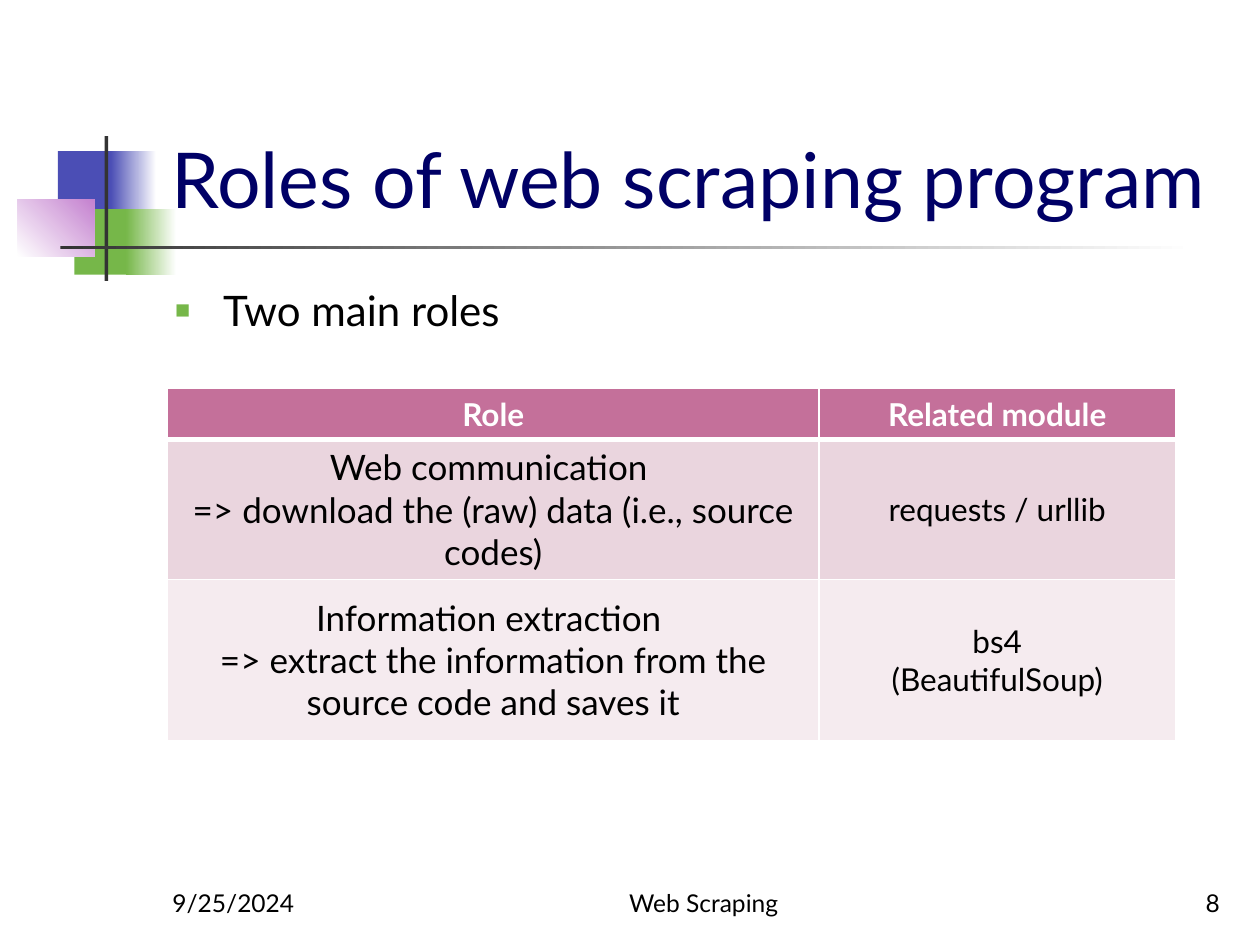
from lxml.etree import SubElement
from pptx import Presentation
from pptx.dml.color import RGBColor
from pptx.enum.shapes import MSO_SHAPE
from pptx.enum.text import MSO_ANCHOR, MSO_AUTO_SIZE, PP_ALIGN
from pptx.oxml.ns import qn
from pptx.util import Inches, Pt

FONT = "Lato"
WHITE = RGBColor(0xFF, 0xFF, 0xFF)
BLACK = RGBColor(0, 0, 0)
NAVY = RGBColor(0, 0, 0x66)
BLUE = RGBColor(0x4B, 0x4E, 0xB5)
GREEN = RGBColor(0x76, 0xB7, 0x49)
LILAC = RGBColor(0xC4, 0x81, 0xCF)
DARK = RGBColor(0x33, 0x33, 0x33)
HEADER_PINK = RGBColor(0xC4, 0x70, 0x9A)
ROW_PINKS = [RGBColor(0xEA, 0xD5, 0xDE), RGBColor(0xF5, 0xEB, 0xEF)]

# left, top, width, height, colours from start to end, gradient angle
ORNAMENT = [
    (0.46, 1.2, 0.48, 0.52, [BLUE], 0),
    (0.88, 1.2, 0.36, 0.52, [BLUE, WHITE], 0),
    (0.59, 1.66, 0.46, 0.52, [GREEN], 0),
    (1, 1.66, 0.4, 0.52, [GREEN, WHITE], 0),
    (0.14, 1.58, 0.61, 0.46, [WHITE, LILAC], 45),
    (0.83, 1.08, 0.03, 1.15, [DARK], 0),
    (0.48, 1.95, 9, 0.03, [DARK, WHITE], 0),
]
COL_WIDTHS = [5.17, 2.83]
ROW_HEIGHTS = [0.41, 1.11, 1.28]
ROLES = [
    ("Role", "Related module"),
    ("Web communication \v=> download the (raw) data (i.e., source codes)",
     "requests / urllib"),
    ("Information extraction \v=> extract the information from the "
     "source code and saves it", "bs4\n(BeautifulSoup)"),
]
FOOTER_TOP, FOOTER_HEIGHT = 6.83, 0.5
FOOTERS = [
    (1.27, 2.08, "9/25/2024", PP_ALIGN.LEFT),
    (4, 3.17, "Web Scraping", PP_ALIGN.CENTER),
    (7.7, 2.08, "8", PP_ALIGN.RIGHT),
]


def place(shape, left, top, width, height):
    shape.left, shape.top = Inches(left), Inches(top)
    shape.width, shape.height = Inches(width), Inches(height)


def write(tf, text, size, color, align=PP_ALIGN.LEFT, bold=False):
    tf.text = text
    for p in tf.paragraphs:
        p.alignment = align
        for r in p.runs:
            r.font.name, r.font.size, r.font.bold = FONT, Pt(size), bold
            r.font.color.rgb = color


def add_ornament(slide):
    tree = slide.shapes._spTree
    for layer, (*box, colors, angle) in enumerate(ORNAMENT):
        sp = slide.shapes.add_shape(MSO_SHAPE.RECTANGLE, *map(Inches, box))
        sp.shadow.inherit = False
        sp.line.fill.background()
        if len(colors) == 1:
            sp.fill.solid()
            sp.fill.fore_color.rgb = colors[0]
        else:
            sp.fill.gradient()
            sp.fill.gradient_angle = angle
            for stop, color in zip(sp.fill.gradient_stops, colors):
                stop.color.rgb = color
        tree.insert(2 + layer, sp._element)  # behind the placeholders


def fill_title(title, text):
    place(title, 1.26, 0.23, 8.52, 1.6)
    tf = title.text_frame
    tf.auto_size = MSO_AUTO_SIZE.NONE
    tf.vertical_anchor = MSO_ANCHOR.BOTTOM
    write(tf, text, 44, NAVY)


def fill_body(body, text):
    place(body, 1.29, 2.21, 8.5, 4.5)
    tf = body.text_frame
    tf.auto_size = MSO_AUTO_SIZE.NONE
    write(tf, text, 24, BLACK)
    for p in tf.paragraphs:
        pPr = p._p.get_or_add_pPr()
        indent = Inches(0.38)
        pPr.set("marL", str(indent))
        pPr.set("indent", str(-indent))
        before = SubElement(pPr, qn("a:spcBef"))
        SubElement(before, qn("a:spcPct"), val="20000")
        color = SubElement(pPr, qn("a:buClr"))
        SubElement(color, qn("a:srgbClr"), val=str(GREEN))
        SubElement(pPr, qn("a:buSzPct"), val="60000")
        SubElement(pPr, qn("a:buChar"), char="■")


def set_borders(cell, bottom):
    tcPr = cell._tc.get_or_add_tcPr()
    widths = {"a:lnL": 1, "a:lnR": 1, "a:lnT": 1, "a:lnB": bottom}
    for i, (tag, width) in enumerate(widths.items()):
        ln = SubElement(tcPr, qn(tag), w=str(Pt(width)))
        fill = SubElement(ln, qn("a:solidFill"))
        SubElement(fill, qn("a:srgbClr"), val=str(WHITE))
        tcPr.insert(i, ln)  # borders come before the cell fill


def add_role_table(slide):
    table = slide.shapes.add_table(
        len(ROLES), len(COL_WIDTHS), Inches(1.33), Inches(3.08),
        Inches(sum(COL_WIDTHS)), Inches(sum(ROW_HEIGHTS))).table
    for column, width in zip(table.columns, COL_WIDTHS):
        column.width = Inches(width)
    for i, (texts, height) in enumerate(zip(ROLES, ROW_HEIGHTS)):
        table.rows[i].height = Inches(height)
        header = i == 0
        for j, text in enumerate(texts):
            cell = table.cell(i, j)
            cell.vertical_anchor = MSO_ANCHOR.MIDDLE
            cell.fill.solid()
            cell.fill.fore_color.rgb = HEADER_PINK if header else ROW_PINKS[i - 1]
            # Cells below the header share its thick bottom line
            set_borders(cell, bottom=3 if header else 1)
            size = 18 if header or j else 20
            write(cell.text_frame, text, size, WHITE if header else BLACK,
                  PP_ALIGN.CENTER, bold=header)


def add_footer(slide, left, width, text, align):
    box = slide.shapes.add_textbox(
        *map(Inches, (left, FOOTER_TOP, width, FOOTER_HEIGHT)))
    tf = box.text_frame
    tf.word_wrap = True
    tf.vertical_anchor = MSO_ANCHOR.BOTTOM
    write(tf, text, 14, BLACK, align)


def main():
    prs = Presentation()
    prs.slide_width, prs.slide_height = Inches(10), Inches(7.5)
    slide = prs.slides.add_slide(prs.slide_layouts[1])
    add_ornament(slide)
    fill_title(slide.shapes.title, "Roles of web scraping program")
    fill_body(slide.placeholders[1], "Two main roles")
    add_role_table(slide)
    for footer in FOOTERS:
        add_footer(slide, *footer)
    prs.save("out.pptx")


if __name__ == "__main__":
    main()
